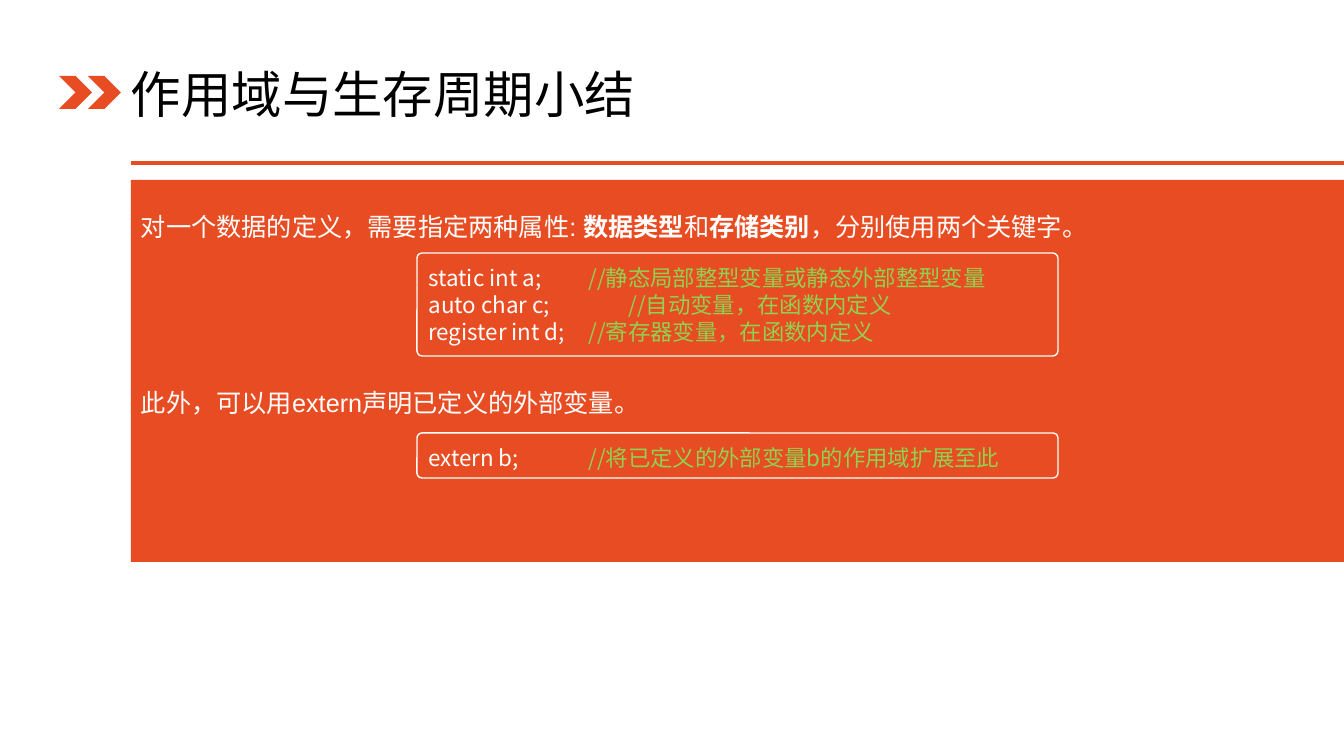
from lxml import etree
from pptx import Presentation
from pptx.dml.color import RGBColor
from pptx.enum.shapes import MSO_CONNECTOR, MSO_SHAPE
from pptx.enum.text import MSO_ANCHOR, PP_ALIGN
from pptx.oxml.ns import qn
from pptx.util import Pt

RECTANGLE, ROUNDED, CHEVRON = MSO_SHAPE.RECTANGLE, MSO_SHAPE.ROUNDED_RECTANGLE, MSO_SHAPE.CHEVRON
STRAIGHT = MSO_CONNECTOR.STRAIGHT
TOP, MIDDLE = MSO_ANCHOR.TOP, MSO_ANCHOR.MIDDLE
LEFT = PP_ALIGN.LEFT

COLORS = {"accent": "E84C22", "paper": "FFFFFF", "ink": "000000", "comment": "92D050"}
CJK = "Noto Sans CJK SC"

TITLE = [[("作用域与生存周期小结", "title")]]
NOTES = [
    [("对一个数据的定义，需要指定两种属性: ", "note"), ("数据类型", "key"), ("和", "note"),
     ("存储类别", "key"), ("，分别使用两个关键字。", "note")],
    [("此外，可以用extern声明已定义的外部变量。", "note")],
]
EXAMPLES = [
    {"top": 253, "height": 103, "lines": [
        ("static int a;\t\t", "//静态局部整型变量或静态外部整型变量"),
        ("auto char c;\t\t", "//自动变量，在函数内定义"),
        ("register int d;\t", "//寄存器变量，在函数内定义"),
    ]},
    {"top": 433, "height": 45, "lines": [
        ("extern b;\t\t", "//将已定义的外部变量b的作用域扩展至此"),
    ]},
]

FORMATS = {
    "title": {"size": Pt(36), "name": CJK, "color": "ink"},
    "note": {"size": Pt(18), "name": "Arial", "color": "paper", "bold": False},
    "key": {"size": Pt(18), "name": "Arial", "color": "paper", "bold": True},
    "code": {"size": Pt(16), "name": CJK, "color": "paper"},
    "comment": {"size": Pt(16), "name": CJK, "color": "comment"},
}

WIDTH, HEIGHT = 1344, 756
PX = 914400 / 100.8
BODY_LEFT = 131
RULE_TOP = 163
PANEL_TOP, PANEL_HEIGHT = 180, 382
CODE_LEFT, CODE_WIDTH, CODE_CORNER = 417, 641, 5
TAB_STEP, TAB_COUNT = 40, 5
CHEVRON_LEFT, CHEVRON_TOP, CHEVRON_SIZE, CHEVRON_STEP = 59, 76, 33, 29


def px(*lengths):
    return [round(length * PX) for length in lengths]


def color(name):
    return RGBColor.from_string(COLORS[name])


def add_block(shapes, kind, box, fill=None, outline=None):
    block = shapes.add_shape(kind, *px(*box))
    block.shadow.inherit = False
    if fill:
        block.fill.solid()
        block.fill.fore_color.rgb = color(fill)
    else:
        block.fill.background()
    if outline:
        block.line.color.rgb = color(outline)
        block.line.width = Pt(1)
    else:
        block.line.fill.background()
    return block


def add_tabs(paragraph):
    tabs = etree.SubElement(paragraph._p.get_or_add_pPr(), qn("a:tabLst"))
    for stop in range(1, TAB_COUNT + 1):
        etree.SubElement(tabs, qn("a:tab"), pos=str(px(stop * TAB_STEP)[0]), algn="l")


def write(block, paragraphs, anchor=TOP, top=5, gap=0, tabbed=False):
    frame = block.text_frame
    margin_x, margin_top, margin_bottom = px(10, top, 5)
    settings = {"word_wrap": True, "vertical_anchor": anchor, "margin_left": margin_x,
                "margin_right": margin_x, "margin_top": margin_top, "margin_bottom": margin_bottom}
    for key, value in settings.items():
        setattr(frame, key, value)
    for index, pieces in enumerate(paragraphs):
        paragraph = frame.add_paragraph() if index else frame.paragraphs[0]
        paragraph.alignment = LEFT
        if index and gap:
            paragraph.space_before = Pt(gap)
        if tabbed:
            add_tabs(paragraph)
        for words, style in pieces:
            run = paragraph.add_run()
            run.text = words
            for key, value in FORMATS[style].items():
                if key == "color":
                    run.font.color.rgb = color(value)
                else:
                    setattr(run.font, key, value)
            etree.SubElement(run.font._element, qn("a:ea"), typeface=CJK)


def main():
    deck = Presentation()
    deck.slide_width, deck.slide_height = px(WIDTH, HEIGHT)
    slide = deck.slides.add_slide(deck.slide_layouts[6])
    slide.background.fill.solid()
    slide.background.fill.fore_color.rgb = color("paper")
    shapes = slide.shapes

    rule = shapes.add_connector(STRAIGHT, *px(BODY_LEFT, RULE_TOP, WIDTH, RULE_TOP))
    rule.line.color.rgb = color("accent")
    rule.line.width = Pt(2.25)
    etree.SubElement(rule._element.spPr, qn("a:effectLst"))

    panel = add_block(shapes, RECTANGLE,
                      (BODY_LEFT, PANEL_TOP, WIDTH - BODY_LEFT, PANEL_HEIGHT), fill="accent")
    write(panel, NOTES, top=31, gap=104)

    title = shapes.add_textbox(*px(121, 53, 599, 80))
    write(title, TITLE, anchor=MIDDLE)

    marker = shapes.add_group_shape()
    for index in range(2):
        add_block(marker.shapes, CHEVRON, (CHEVRON_LEFT + index * CHEVRON_STEP, CHEVRON_TOP,
                                           CHEVRON_SIZE, CHEVRON_SIZE), fill="accent")

    for example in EXAMPLES:
        box = (CODE_LEFT, example["top"], CODE_WIDTH, example["height"])
        listing = add_block(shapes, ROUNDED, box, outline="paper")
        listing.adjustments[0] = round(CODE_CORNER / example["height"], 2)
        lines = [[(code, "code"), (comment, "comment")] for code, comment in example["lines"]]
        write(listing, lines, top=10, tabbed=True)

    deck.save("out.pptx")


if __name__ == "__main__":
    main()
